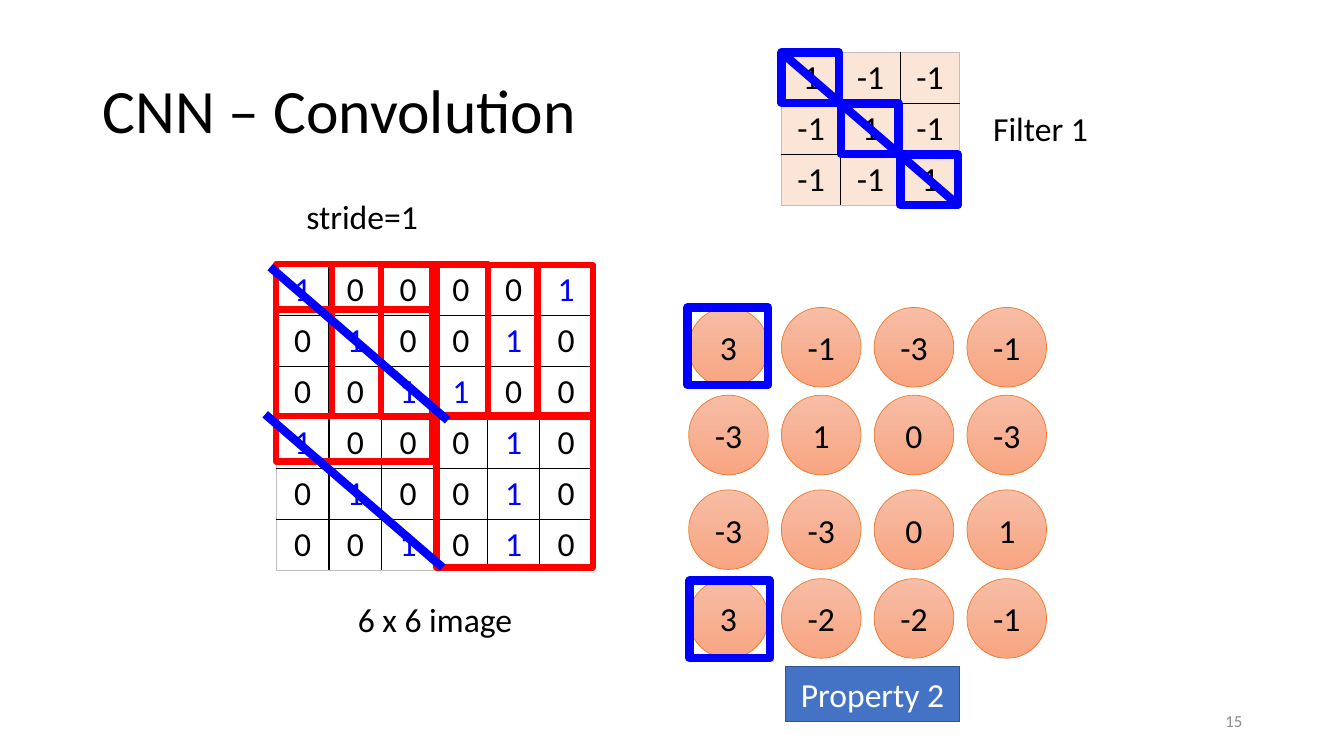
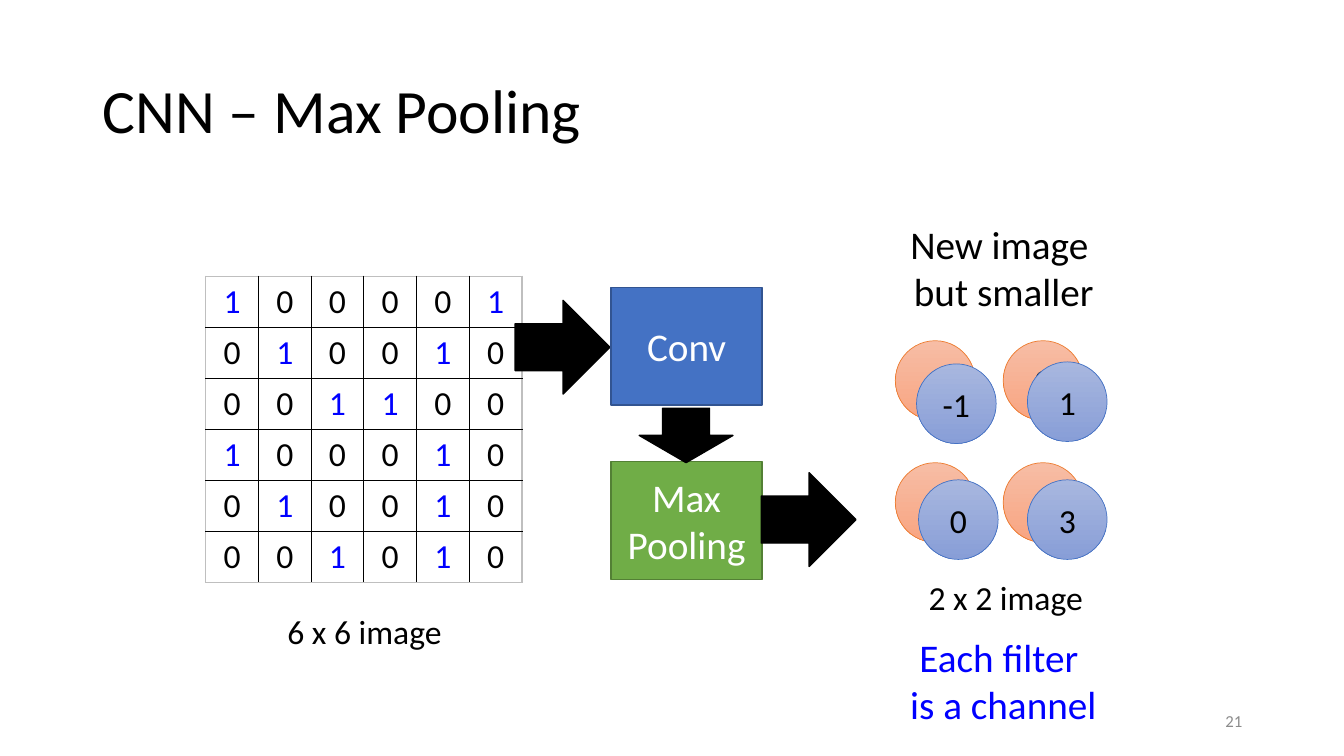
import pptx
import pptx.util
import pptx.dml.color
import pptx.enum.shapes
import pptx.enum.text
import pptx.oxml
import pptx.oxml.ns

Inches, Pt = pptx.util.Inches, pptx.util.Pt
RGBColor = pptx.dml.color.RGBColor
SHAPE = pptx.enum.shapes.MSO_SHAPE
ALIGN = pptx.enum.text.PP_ALIGN
MIDDLE = pptx.enum.text.MSO_ANCHOR.MIDDLE
TOP = pptx.enum.text.MSO_ANCHOR.TOP

# Shared style
FONT = "Calibri"
BLACK = RGBColor(0x00, 0x00, 0x00)
WHITE = RGBColor(0xFF, 0xFF, 0xFF)
GRAY = RGBColor(0x8C, 0x8C, 0x8C)
BORDER_GRAY = RGBColor(0xBF, 0xBF, 0xBF)
RED = RGBColor(0xFF, 0x00, 0x00)
BLUE = RGBColor(0x00, 0x00, 0xFF)
PEACH = RGBColor(0xFB, 0xE5, 0xD6)
BOX_BLUE = RGBColor(0x44, 0x72, 0xC4)
BOX_BLUE_EDGE = RGBColor(0x32, 0x54, 0x91)
BOX_GREEN = RGBColor(0x70, 0xAD, 0x47)
BOX_GREEN_EDGE = RGBColor(0x53, 0x80, 0x35)
# Circle colours: gradient top, gradient bottom, outline
ORANGE_CIRCLE = (RGBColor(0xF7, 0xBD, 0xA5), RGBColor(0xF8, 0xA5, 0x82),
                 RGBColor(0xED, 0x7D, 0x31))
BLUE_CIRCLE = (RGBColor(0xA8, 0xB7, 0xDF), RGBColor(0x88, 0x9E, 0xD7), BOX_BLUE)

CIRCLE = 0.79
CELL_HEIGHT = 0.507
IMAGE_CELL = 0.523
FILTER_CELL = 0.59

# Content
IMAGE = ["100001", "010010", "001100", "100010", "010010", "001010"]
FILTER = [(1, -1, -1), (-1, 1, -1), (-1, -1, 1)]
FEATURE_MAP = [(3, -1, -3, -1), (-3, 1, 0, -3), (-3, -3, 0, 1), (3, -2, -2, -1)]
FEATURE_LEFT, FEATURE_STEP = 6.83, 0.92
FEATURE_TOPS = (3.05, 3.92, 4.86, 5.74)
WINDOWS = [(2.74, 2.62), (3.29, 2.62), (3.78, 2.63), (4.33, 2.63),
           (2.74, 3.07), (4.33, 4.12)]
IMAGE_DIAGONALS = [(2.68, 2.65), (2.63, 4.11)]
MAXIMUM_FRAMES = [(6.82, 3.05), (6.84, 5.76)]
# Pooled values: colours, then (left, top, value)
POOLED = [
    (ORANGE_CIRCLE, [(8.88, 3.38, 3), (9.95, 3.38, 0),
                     (9.95, 4.59, 1), (8.88, 4.59, 3)]),
    (BLUE_CIRCLE, [(9.09, 3.61, -1), (10.19, 3.59, 1),
                   (10.19, 4.76, 3), (9.11, 4.76, 0)]),
]
# Pooling labels: area, lines, size, colour
POOLING_LABELS = [
    ((2.33, 6.01, 2.57, 0.5), ["6 x 6 image"], 24, BLACK),
    ((8.69, 5.67, 2.57, 0.5), ["2 x 2 image"], 24, BLACK),
    ((8.71, 6.23, 2.48, 1.04), ["Each filter ", "is a channel"], 28, BLUE),
    ((8.71, 2.14, 2.49, 1.04), ["New image ", "but smaller"], 28, BLACK),
]
# Pooling flow, back to front: shape, area, fill, outline, lines
POOLING_FLOW = [
    (SHAPE.RIGHT_ARROW, (5.11, 2.98, 0.94, 0.93), BLACK, BLACK, []),
    (SHAPE.RECTANGLE, (6.06, 2.85, 1.5, 1.17), BOX_BLUE, BOX_BLUE_EDGE, ["Conv"]),
    (SHAPE.RECTANGLE, (6.06, 4.58, 1.5, 1.17), BOX_GREEN, BOX_GREEN_EDGE,
     ["Max", "Pooling"]),
    (SHAPE.RIGHT_ARROW, (7.55, 4.69, 0.94, 0.93), BLACK, BLACK, []),
    (SHAPE.DOWN_ARROW, (6.34, 4.05, 0.93, 0.54), BLACK, BLACK, []),
]


def inches(area):
    return [Inches(length) for length in area]


def write(frame, lines, size, color, align=ALIGN.CENTER, anchor=MIDDLE):
    frame.vertical_anchor = anchor
    for index, line in enumerate(lines):
        para = frame.add_paragraph() if index else frame.paragraphs[0]
        para.text = line
        para.alignment = align
        para.font.name = FONT
        para.font.size = Pt(size)
        para.font.color.rgb = color


def add_label(page, area, lines, size=24, color=BLACK, align=ALIGN.CENTER,
              anchor=TOP, wrap=True):
    frame = page.shapes.add_textbox(*inches(area)).text_frame
    frame.word_wrap = wrap
    write(frame, lines, size, color, align, anchor)
    return frame


def add_box(page, kind, area, fill, edge, width, lines=(), size=28, color=WHITE):
    box = page.shapes.add_shape(kind, *inches(area))
    box.shadow.inherit = False
    if fill is None:
        box.fill.background()
    else:
        box.fill.solid()
        box.fill.fore_color.rgb = fill
    box.line.color.rgb = edge
    box.line.width = Pt(width)
    write(box.text_frame, lines, size, color)
    return box


def add_frame(page, area, color, width):
    add_box(page, SHAPE.RECTANGLE, area, None, color, width)


def add_circle(page, left, top, value, colors):
    upper, lower, edge = colors
    circle = add_box(page, SHAPE.OVAL, (left, top, CIRCLE, CIRCLE), None, edge, 0.5,
                     [str(value)], 24, BLACK)
    circle.text_frame.word_wrap = False
    circle.fill.gradient()
    circle.fill.gradient_angle = 270
    for stop, color in zip(circle.fill.gradient_stops, (upper, lower)):
        stop.color.rgb = color


def add_diagonal(page, left, top, width=1.76, height=1.52):
    line = page.shapes.add_connector(
        pptx.enum.shapes.MSO_CONNECTOR.STRAIGHT,
        *inches((left, top, left + width, top + height)))
    line.line.color.rgb = BLUE
    line.line.width = Pt(6)
    properties = line.element.find(pptx.oxml.ns.qn("p:spPr"))
    properties.append(pptx.oxml.parse_xml(
        f'<a:effectLst {pptx.oxml.ns.nsdecls("a")}/>'))


def set_borders(cell, outer_sides):
    properties = cell._tc.get_or_add_tcPr()
    for index, side in enumerate(("lnL", "lnR", "lnT", "lnB")):
        color = BORDER_GRAY if side in outer_sides else BLACK
        properties.insert(index, pptx.oxml.parse_xml(
            f'<a:{side} {pptx.oxml.ns.nsdecls("a")} w="12700"><a:solidFill>'
            f'<a:srgbClr val="{color}"/></a:solidFill></a:{side}>'))


def add_matrix(page, left, top, rows, cell_width, fill=None, one_color=BLACK):
    count = len(rows)
    area = (left, top, cell_width * count, CELL_HEIGHT * count)
    table = page.shapes.add_table(count, count, *inches(area)).table
    table.first_row = table.horz_banding = False
    for index in range(count):
        table.columns[index].width = Inches(cell_width)
        table.rows[index].height = Inches(CELL_HEIGHT)
    last = count - 1
    for row, values in enumerate(rows):
        for column, value in enumerate(values):
            cell = table.cell(row, column)
            if fill is None:
                cell.fill.background()
            else:
                cell.fill.solid()
                cell.fill.fore_color.rgb = fill
            edges = (("lnL", column == 0), ("lnR", column == last),
                     ("lnT", row == 0), ("lnB", row == last))
            set_borders(cell, [side for side, outer in edges if outer])
            color = one_color if str(value) == "1" else BLACK
            write(cell.text_frame, [str(value)], 24, color)
            cell.vertical_anchor = TOP


def add_page(deck, title, number):
    page = deck.slides.add_slide(deck.slide_layouts[6])
    heading = add_label(page, (0.92, 0.4, 11.5, 1.45), [title], 44,
                        align=ALIGN.LEFT, anchor=MIDDLE)
    heading.paragraphs[0].line_spacing = 0.9
    add_label(page, (9.42, 6.95, 3, 0.4), [str(number)], 12, GRAY,
              ALIGN.RIGHT, MIDDLE)
    return page


def build_convolution(deck):
    page = add_page(deck, "CNN – Convolution", 15)

    # Input image and filter
    add_matrix(page, 2.74, 2.62, IMAGE, IMAGE_CELL, one_color=BLUE)
    add_matrix(page, 7.75, 0.52, FILTER, FILTER_CELL, fill=PEACH)
    add_label(page, (3.03, 5.89, 2.57, 0.5), ["6 x 6 image"])
    add_label(page, (9.53, 1.02, 1.58, 0.5), ["Filter 1"])
    add_label(page, (2.94, 1.89, 1.32, 0.5), ["stride=1"], align=ALIGN.LEFT, wrap=False)

    # Feature map
    for top, values in zip(FEATURE_TOPS, FEATURE_MAP):
        for column, value in enumerate(values):
            add_circle(page, FEATURE_LEFT + column * FEATURE_STEP, top, value,
                       ORANGE_CIRCLE)

    # Sliding windows and matched diagonals
    for left, top in WINDOWS:
        add_frame(page, (left, top, 1.55, 1.51), RED, 4.5)
    for step in range(len(FILTER)):
        add_frame(page, (7.75 + step * FILTER_CELL, 0.52 + step * CELL_HEIGHT,
                         0.57, 0.5), BLUE, 6)
    for left, top in MAXIMUM_FRAMES:
        add_frame(page, (left, top, 0.8, 0.77), BLUE, 6)
    for left, top in [(7.75, 0.52)] + IMAGE_DIAGONALS:
        add_diagonal(page, left, top)

    add_box(page, SHAPE.RECTANGLE, (7.79, 6.61, 1.73, 0.55), BOX_BLUE,
            BOX_BLUE_EDGE, 1, ["Property 2"], 24)


def build_pooling(deck):
    page = add_page(deck, "CNN – Max Pooling", 21)
    add_matrix(page, 2.04, 2.74, IMAGE, IMAGE_CELL, one_color=BLUE)

    # Pooled channels
    for colors, circles in POOLED:
        for left, top, value in circles:
            add_circle(page, left, top, value, colors)

    for area, lines, size, color in POOLING_LABELS:
        add_label(page, area, lines, size, color)
    for kind, area, fill, edge, lines in POOLING_FLOW:
        add_box(page, kind, area, fill, edge, 1, lines)


def main():
    deck = pptx.Presentation()
    deck.slide_width, deck.slide_height = Inches(13.33), Inches(7.5)
    build_convolution(deck)
    build_pooling(deck)
    deck.save("out.pptx")


if __name__ == "__main__":
    main()
